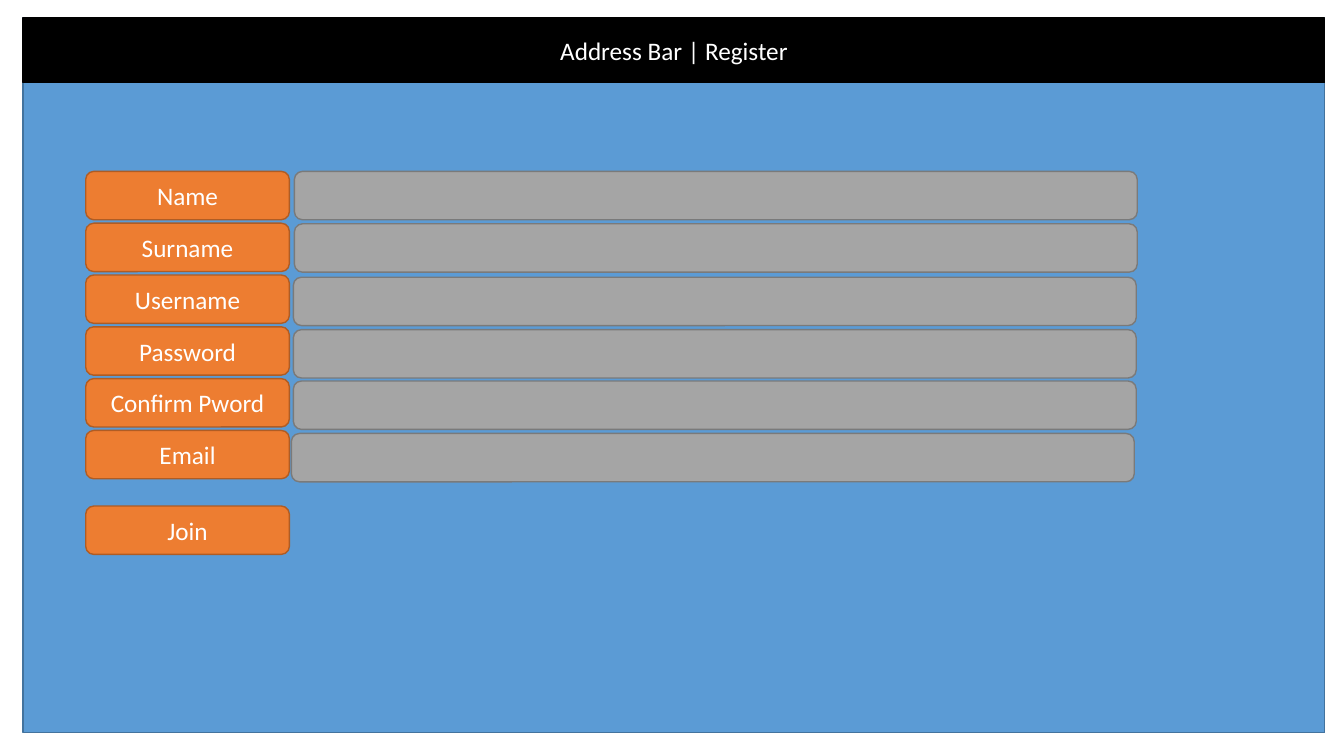
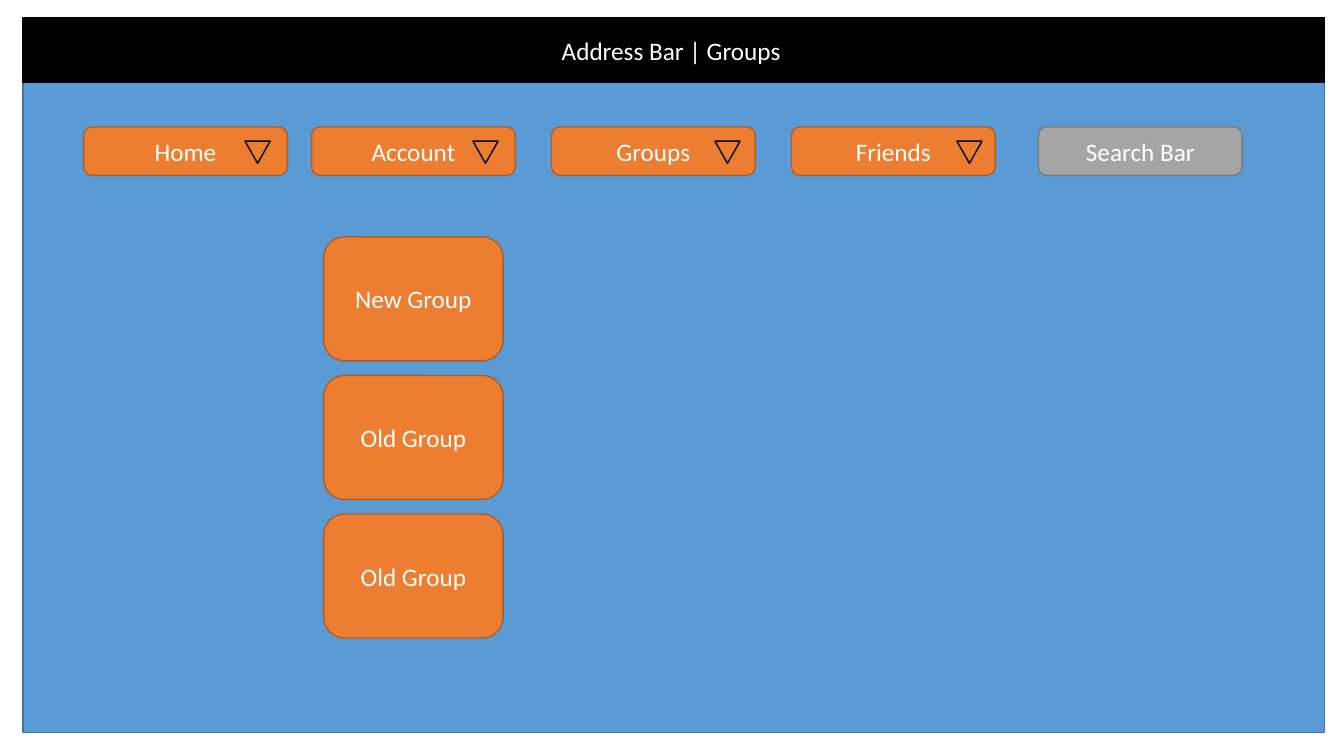
import pptx
import pptx.util
import pptx.dml.color
import pptx.enum.shapes
import pptx.enum.text

SHAPE = pptx.enum.shapes.MSO_SHAPE
PX = 9144
SLIDE_SIZE = (1333, 750)
FONT = "Calibri"
WHITE = "FFFFFF"
PANEL = ("5B9BD5", "43739E")
BAR = ("000000", "000000")
BUTTON = ("ED7D31", "AF5C24")
ENTRY = ("A5A5A5", "7A7A7A")
ARROW = ("ED7D31", "000000")

FRAME_LEFT, FRAME_TOP, FRAME_WIDTH = 23, 18, 1291
PANEL_HEIGHT, BAR_HEIGHT = 709, 64
BUTTON_WIDTH, BUTTON_HEIGHT = 202, 48

REGISTER_TITLE = "Address Bar | Register"
FORM_LEFT, FORM_TOP, FORM_PITCH = 85, 170, 51.4
ENTRY_WIDTH = 836
FIELDS = [
    ("Name", 292, 170),
    ("Surname", 292, 222),
    ("Username", 291, 275),
    ("Password", 291, 327),
    ("Confirm Pword", 291, 378),
    ("Email", 289, 430),
]
JOIN = ("Join", 502)

GROUPS_TITLE = "Address Bar | Groups "
MENU_TOP, ARROW_TOP = 126, 140
ARROW_WIDTH, ARROW_HEIGHT = 25, 22
MENU = [
    ("Home", 83, 243),
    ("Account", 309, 469),
    ("Groups", 547, 709),
    ("Friends", 785, 949),
]
SEARCH = ("Search Bar", 1030)
CARDS = ["New Group", "Old Group", "Old Group"]
CARD_LEFT, CARD_TOP, CARD_PITCH = 321, 235, 137.5
CARD_WIDTH, CARD_HEIGHT = 178, 123


def px(length):
    return pptx.util.Emu(round(length * PX))


def color(value):
    return pptx.dml.color.RGBColor.from_string(value)


def paint(shape, style):
    fill, line = style
    shape.fill.solid()
    shape.fill.fore_color.rgb = color(fill)
    shape.line.color.rgb = color(line)
    shape.line.width = pptx.util.Pt(1)


def write(shape, text):
    frame = shape.text_frame
    frame.text = text
    frame.word_wrap = True
    frame.auto_size = pptx.enum.text.MSO_AUTO_SIZE.NONE
    frame.vertical_anchor = pptx.enum.text.MSO_ANCHOR.MIDDLE
    para = frame.paragraphs[0]
    para.alignment = pptx.enum.text.PP_ALIGN.CENTER
    para.font.name = FONT
    para.font.size = pptx.util.Pt(18)
    para.font.color.rgb = color(WHITE)


def add_box(page, kind, left, top, width, height, style, text=""):
    box = page.shapes.add_shape(kind, px(left), px(top), px(width), px(height))
    box.shadow.inherit = False
    paint(box, style)
    if text:
        write(box, text)
    return box


def add_button(page, left, top, text, style=BUTTON):
    add_box(page, SHAPE.ROUNDED_RECTANGLE, left, top,
            BUTTON_WIDTH, BUTTON_HEIGHT, style, text)


def add_page(deck, heading):
    page = deck.slides.add_slide(deck.slide_layouts[5])
    title = page.shapes.title
    title.left, title.top = px(FRAME_LEFT), px(FRAME_TOP)
    title.width, title.height = px(FRAME_WIDTH), px(BAR_HEIGHT)
    paint(title, BAR)
    write(title, heading)
    panel = add_box(page, SHAPE.RECTANGLE, FRAME_LEFT, FRAME_TOP,
                    FRAME_WIDTH, PANEL_HEIGHT, PANEL)
    title.element.addprevious(panel.element)
    return page


def build_register(deck):
    page = add_page(deck, REGISTER_TITLE)
    for row, (label, entry_left, entry_top) in enumerate(FIELDS):
        add_button(page, FORM_LEFT, FORM_TOP + row * FORM_PITCH, label)
        add_box(page, SHAPE.ROUNDED_RECTANGLE, entry_left, entry_top,
                ENTRY_WIDTH, BUTTON_HEIGHT, ENTRY)
    label, top = JOIN
    add_button(page, FORM_LEFT, top, label)


def build_groups(deck):
    page = add_page(deck, GROUPS_TITLE)
    for label, left, arrow_left in MENU:
        add_button(page, left, MENU_TOP, label)
        add_box(page, SHAPE.FLOWCHART_MERGE, arrow_left, ARROW_TOP,
                ARROW_WIDTH, ARROW_HEIGHT, ARROW)
    label, left = SEARCH
    add_button(page, left, MENU_TOP, label, ENTRY)
    for row, label in enumerate(CARDS):
        add_box(page, SHAPE.ROUNDED_RECTANGLE, CARD_LEFT, CARD_TOP + row * CARD_PITCH,
                CARD_WIDTH, CARD_HEIGHT, BUTTON, label)


def main():
    deck = pptx.Presentation()
    deck.slide_width, deck.slide_height = map(px, SLIDE_SIZE)
    build_register(deck)
    build_groups(deck)
    deck.save("out.pptx")


if __name__ == "__main__":
    main()
